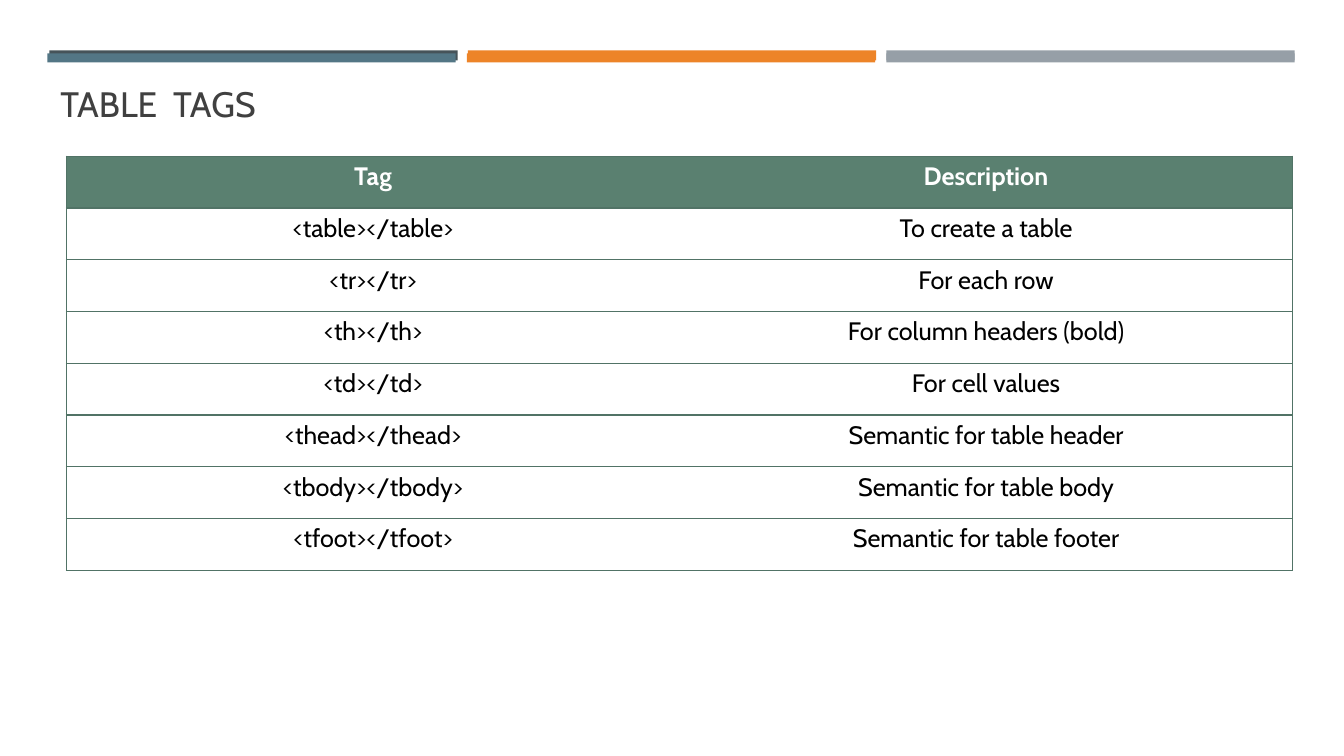
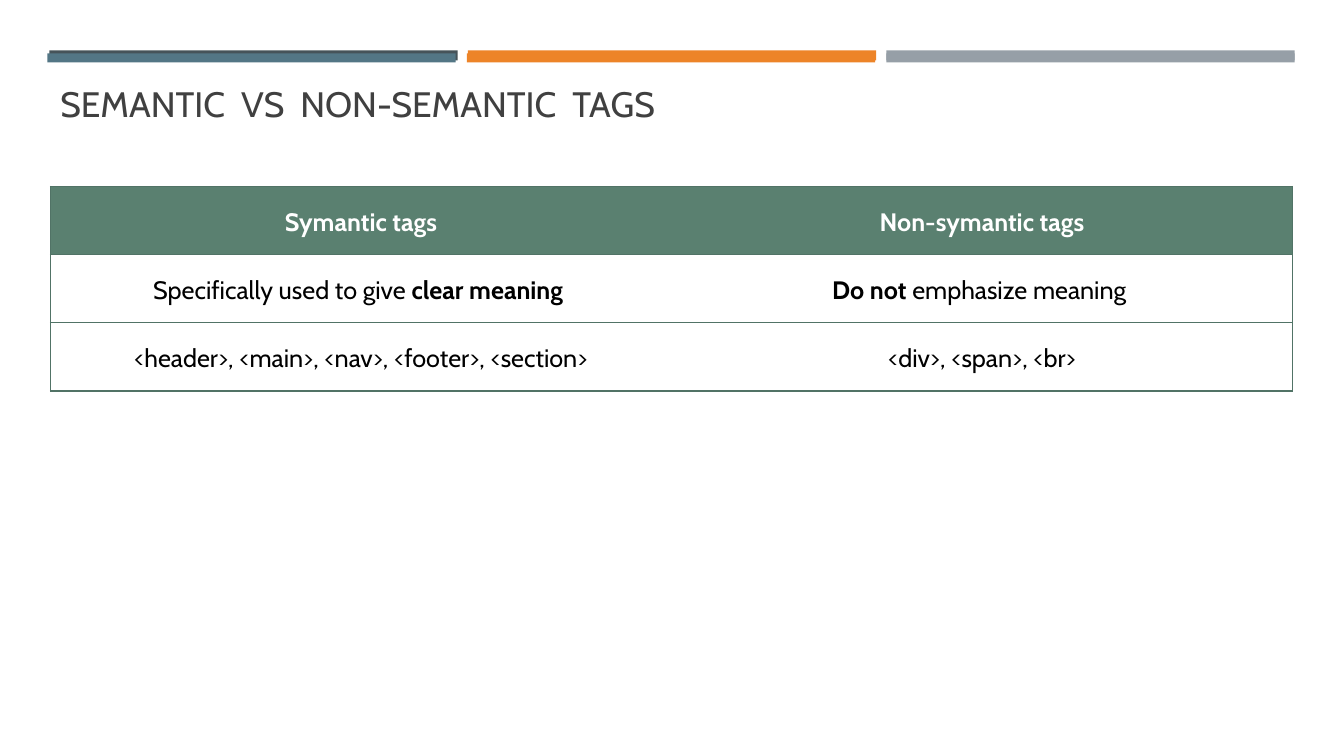
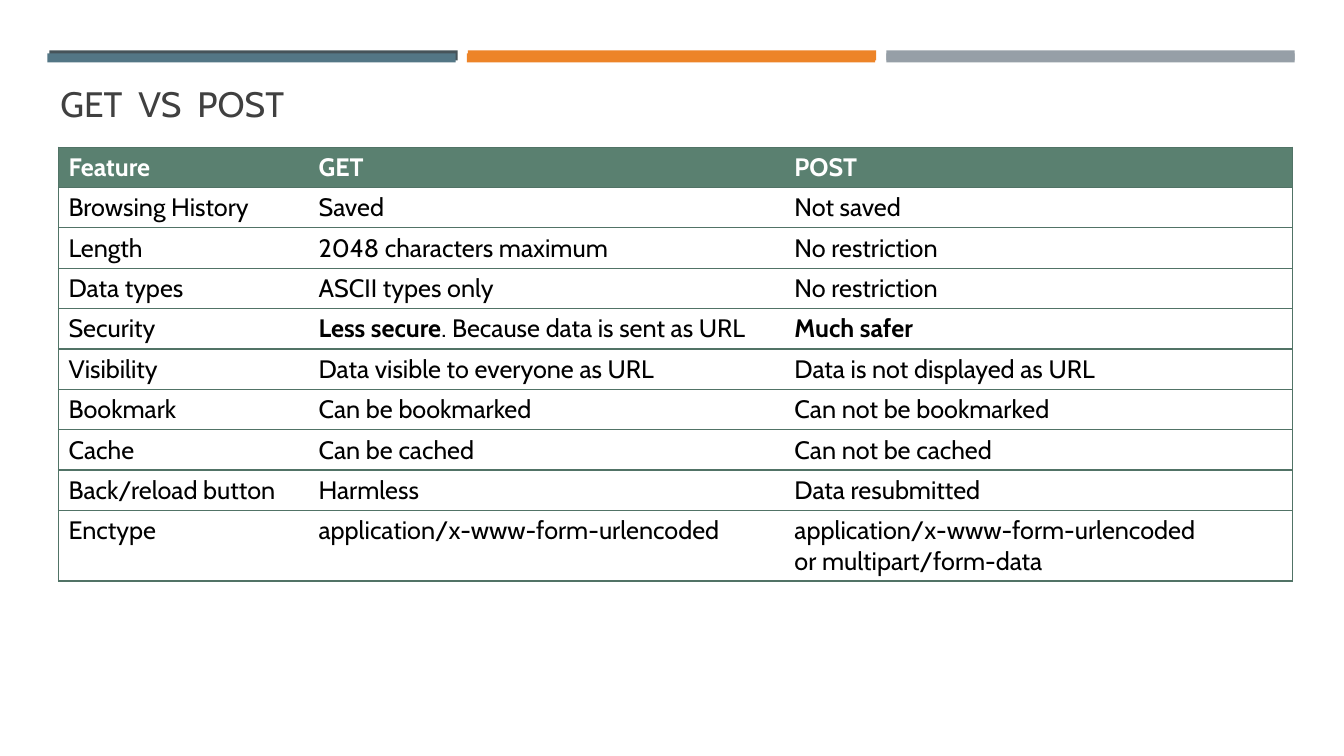
from pptx import Presentation
from pptx.dml.color import RGBColor
from pptx.enum.shapes import MSO_SHAPE
from pptx.enum.text import MSO_ANCHOR, PP_ALIGN
from pptx.oxml import parse_xml
from pptx.oxml.ns import nsdecls
from pptx.util import Inches, Pt

# Colours
WHITE = RGBColor(0xFF, 0xFF, 0xFF)
BLACK = RGBColor(0x00, 0x00, 0x00)
GREY_TEXT = RGBColor(0x40, 0x40, 0x40)
SLATE = RGBColor(0x46, 0x53, 0x59)
TEAL = RGBColor(0x53, 0x76, 0x85)
ORANGE = RGBColor(0xED, 0x84, 0x28)
SILVER = RGBColor(0x96, 0x9F, 0xA7)
GREEN = RGBColor(0x5A, 0x80, 0x70)
RULE = RGBColor(0x51, 0x73, 0x66)

# Text formats
FONT = "Cabin"
TITLE = {"name": FONT, "size": Pt(25.2), "color": GREY_TEXT}
HEADER = {"name": FONT, "size": Pt(18), "color": WHITE, "bold": True}
BODY = {"name": FONT, "size": Pt(18), "color": BLACK, "bold": False}

# Band rows: left, top, height, step, colours
BANDS = [
    (0.49, 0.5, 0.1, 4.15, (SLATE, ORANGE, SILVER)),
    (0.47, 0.53, 0.09, 4.16, (TEAL, ORANGE, SILVER)),
]
BAND_WIDTH = 4.05


class Deck:
    def __init__(self):
        self.prs = Presentation()
        self.prs.slide_width = Inches(13.33)
        self.prs.slide_height = Inches(7.5)
        self.s = None

    def slide(self, title):
        self.s = self.prs.slides.add_slide(self.prs.slide_layouts[6])
        for left, top, height, step, colors in BANDS:
            for i, color in enumerate(colors):
                self.band(left + i * step, top, height, color)
        self.title(title)

    def band(self, left, top, height, color):
        sp = self.s.shapes.add_shape(
            MSO_SHAPE.RECTANGLE, Inches(left), Inches(top),
            Inches(BAND_WIDTH), Inches(height))
        sp.shadow.inherit = False
        sp.fill.solid()
        sp.fill.fore_color.rgb = color
        sp.line.fill.background()

    def title(self, text):
        box = self.s.shapes.add_textbox(
            Inches(0.5), Inches(0.76), Inches(12.32), Inches(0.53))
        tf = box.text_frame
        tf.word_wrap = True
        tf.vertical_anchor = MSO_ANCHOR.BOTTOM
        self.run(tf.paragraphs[0], text, TITLE)

    def run(self, p, text, fmt):
        r = p.add_run()
        r.text = text
        for key, value in fmt.items():
            if key == "color":
                r.font.color.rgb = value
            else:
                setattr(r.font, key, value)

    def table(self, left, top, height, widths, rows, **para):
        """Text between asterisks is bold; a line break starts a paragraph."""
        table = self.s.shapes.add_table(
            len(rows), len(widths), Inches(left), Inches(top),
            Inches(sum(widths)), Inches(height)).table
        table.first_row = table.horz_banding = False
        for col, width in zip(table.columns, widths):
            col.width = Inches(width)
        for i, row in enumerate(rows):
            for j, text in enumerate(row):
                cell = table.cell(i, j)
                self.borders(cell, j == 0, j == len(widths) - 1)
                cell.fill.solid()
                cell.fill.fore_color.rgb = WHITE if i else GREEN
                self.cell_text(cell, text, BODY if i else HEADER, para)

    def cell_text(self, cell, text, fmt, para):
        tf = cell.text_frame
        for n, line in enumerate(text.split("\n")):
            p = tf.add_paragraph() if n else tf.paragraphs[0]
            for key, value in para.items():
                setattr(p, key, value)
            for k, part in enumerate(line.split("*")):
                if part:
                    self.run(p, part, {**fmt, "bold": True} if k % 2 else fmt)

    def borders(self, cell, first, last):
        tcPr = cell._tc.get_or_add_tcPr()
        for side, shown in (("L", first), ("R", last), ("T", True), ("B", True)):
            fill = (f'<a:solidFill><a:srgbClr val="{RULE}"/></a:solidFill>'
                    if shown else "<a:noFill/>")
            tcPr.append(parse_xml(
                f'<a:ln{side} {nsdecls("a")} w="{Pt(1)}">{fill}</a:ln{side}>'))


def main():
    deck = Deck()

    # Table tags
    deck.slide("TABLE  TAGS")
    deck.table(0.66, 1.55, 4.11, [6.08, 6.08], [
        ("Tag", "Description"),
        ("<table></table>", "To create a table"),
        ("<tr></tr>", "For each row"),
        ("<th></th>", "For column headers (bold)"),
        ("<td></td>", "For cell values"),
        ("<thead></thead>", "Semantic for table header"),
        ("<tbody></tbody>", "Semantic for table body"),
        ("<tfoot></tfoot>", "Semantic for table footer"),
    ], alignment=PP_ALIGN.CENTER)

    # Semantic and non-semantic tags
    deck.slide("SEMANTIC  VS  NON-SEMANTIC  TAGS")
    deck.table(0.5, 1.85, 2.03, [6.16, 6.16], [
        ("Symantic tags", "Non-symantic tags"),
        ("Specifically used to give *clear meaning *",
         "*Do not *emphasize meaning "),
        ("<header>, <main>, <nav>, <footer>, <section>",
         "<div>, <span>, <br>"),
    ], alignment=PP_ALIGN.CENTER, line_spacing=1.5)

    # Request methods; rows grow to fit their text
    deck.slide("GET  VS  POST")
    deck.table(0.58, 1.46, 4, [2.48, 4.72, 5.04], [
        ("Feature", "GET", "POST"),
        ("Browsing History", "Saved", "Not saved"),
        ("Length", "2048 characters maximum", "No restriction"),
        ("Data types", "ASCII types only", "No restriction"),
        ("Security", "*Less secure*. Because data is sent as URL",
         "*Much safer*"),
        ("Visibility", "Data visible to everyone as URL",
         "Data is not displayed as URL"),
        ("Bookmark", "Can be bookmarked", "Can not be bookmarked"),
        ("Cache", "Can be cached", "Can not be cached"),
        ("Back/reload button", "Harmless", "Data resubmitted"),
        ("Enctype", "application/x-www-form-urlencoded",
         "application/x-www-form-urlencoded\nor multipart/form-data"),
    ])

    deck.prs.save("out.pptx")


if __name__ == "__main__":
    main()
